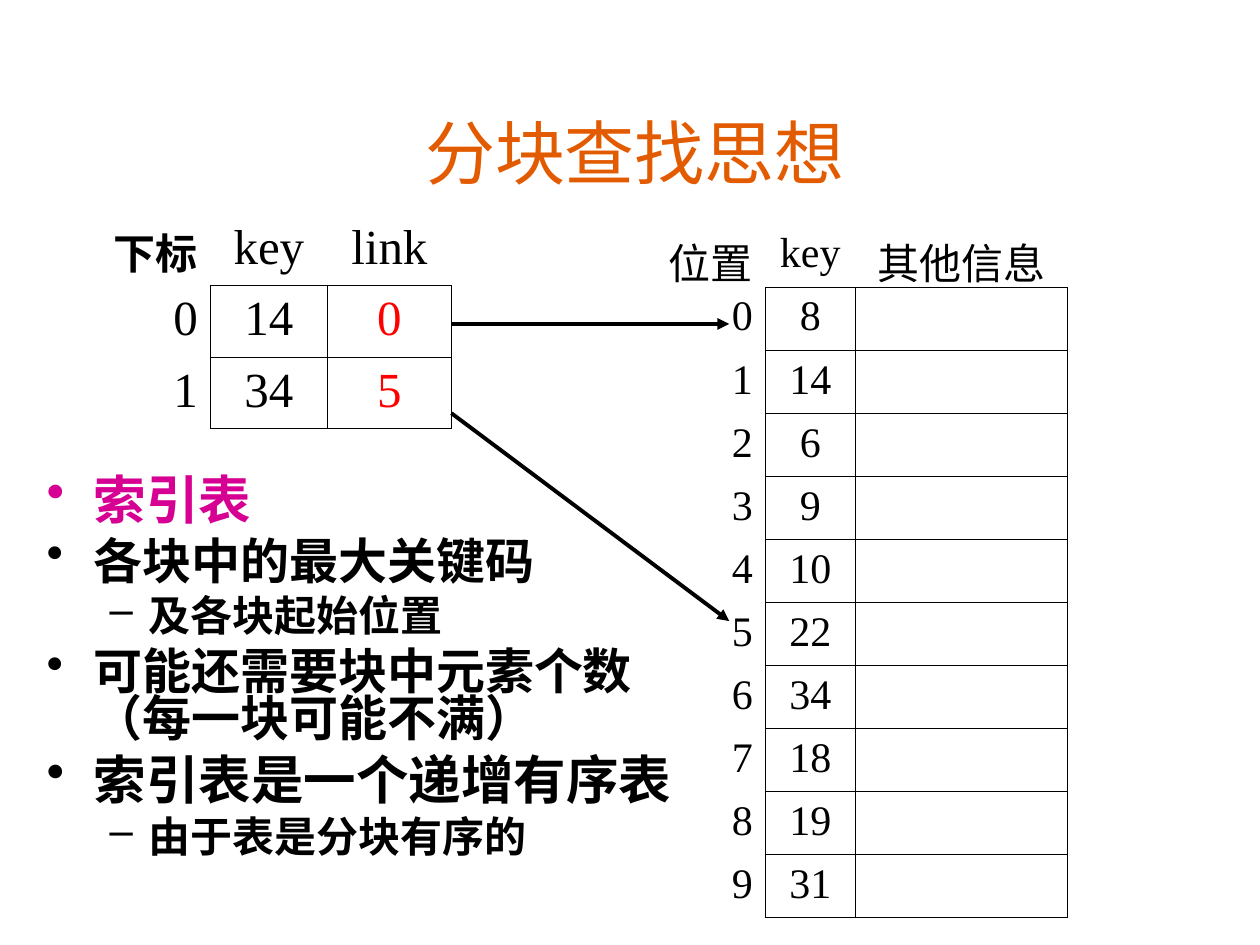
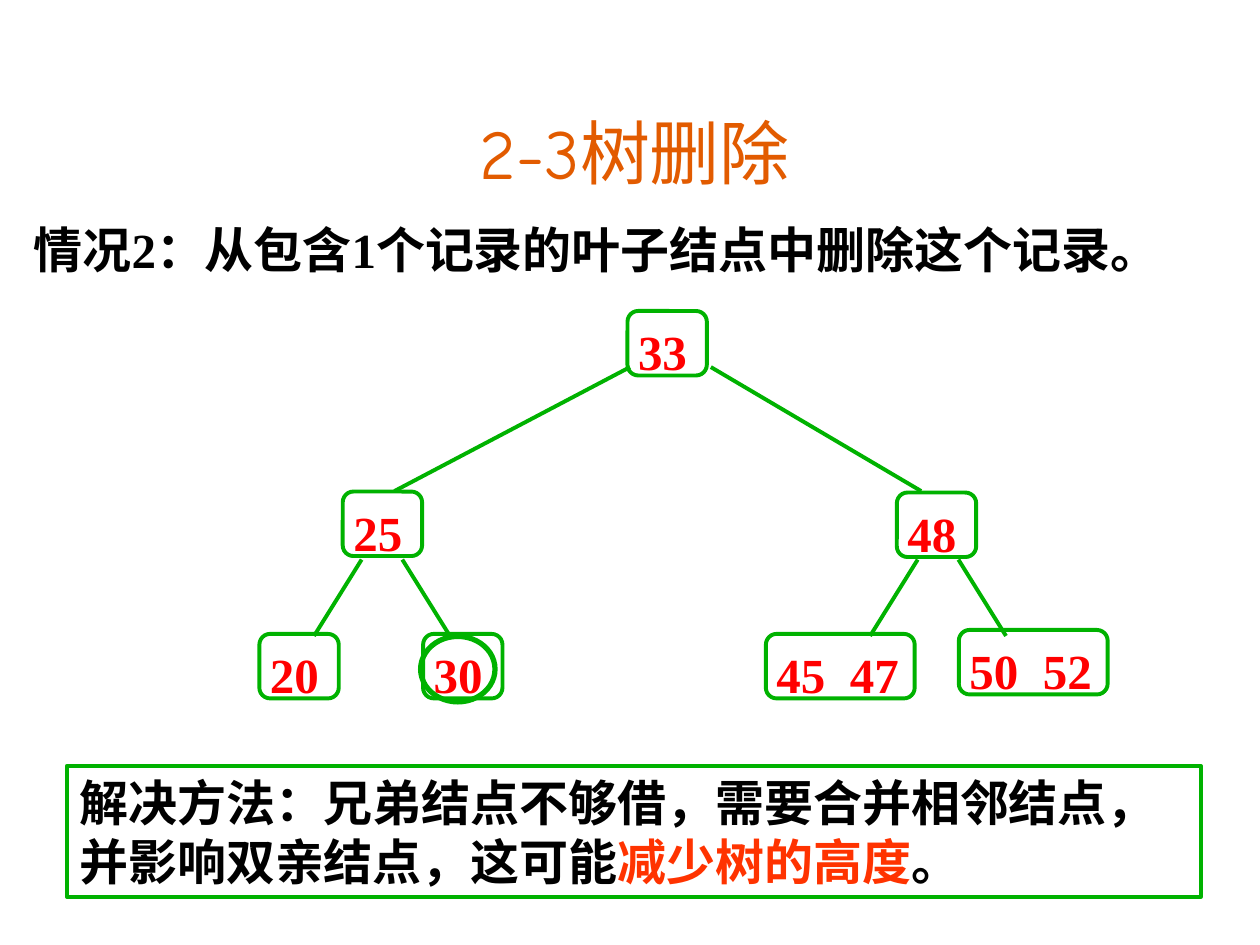
from lxml import etree
from pptx import Presentation
from pptx.dml.color import RGBColor
from pptx.enum.shapes import MSO_CONNECTOR, MSO_SHAPE
from pptx.enum.text import MSO_ANCHOR, PP_ALIGN
from pptx.oxml.ns import qn
from pptx.util import Cm, Pt

STRAIGHT = MSO_CONNECTOR.STRAIGHT
RECTANGLE, ROUNDED, OVAL = MSO_SHAPE.RECTANGLE, MSO_SHAPE.ROUNDED_RECTANGLE, MSO_SHAPE.OVAL
TOP, MIDDLE, BOTTOM = MSO_ANCHOR.TOP, MSO_ANCHOR.MIDDLE, MSO_ANCHOR.BOTTOM
LEFT, CENTER, RIGHT = PP_ALIGN.LEFT, PP_ALIGN.CENTER, PP_ALIGN.RIGHT

BLACK = RGBColor(0x00, 0x00, 0x00)
ORANGE = RGBColor(0xE2, 0x5B, 0x00)
MAGENTA = RGBColor(0xD6, 0x00, 0x93)
RED = RGBColor(0xFF, 0x00, 0x00)
BRIGHT_RED = RGBColor(0xFF, 0x33, 0x00)
GREEN = RGBColor(0x00, 0xB2, 0x00)

SERIF = "Times New Roman"
ROUND_FONT = "Comic Neue"
CHINESE = "Noto Sans CJK SC"
PLAIN_TABLE = "{2D5ABB26-0587-4C30-8999-92F81FD0307C}"

INDEX_ROWS = [("下标", "key", "link"), ("0", "14", "0"), ("1", "34", "5")]
RECORD_KEYS = [8, 14, 6, 9, 10, 22, 34, 18, 19, 31]
RECORD_ROWS = [("位置", "key", "其他信息")] + [
    (str(position), str(key), "") for position, key in enumerate(RECORD_KEYS)
]
LINK_ARROWS = [((9.1, 6.53), (14.7, 6.53)), ((9.1, 8.33), (14.7, 12.52))]

BULLETS = [
    (0, "索引表", 30, MAGENTA),
    (0, "各块中的最大关键码", 28, BLACK),
    (1, "及各块起始位置", 24, BLACK),
    (0, "可能还需要块中元素个数（每一块可能不满）", 28, BLACK),
    (0, "索引表是一个递增有序表", 30, BLACK),
    (1, "由于表是分块有序的", 24, BLACK),
]
BULLET_LEVELS = [("•", 0.95, -0.95), ("–", 2.06, -0.79)]

CASE = "情况2：从包含1个记录的叶子结点中删除这个记录。"
SOLUTION = [
    ("解决方法：兄弟结点不够借，需要合并相邻结点，并影响双亲结点，这可能", BLACK),
    ("减少树的高度", BRIGHT_RED),
    ("。", BLACK),
]
TREE_NODES = [
    (["33"], 12.65, 6.27),
    (["25"], 6.91, 9.91),
    (["48"], 18.08, 9.93),
    (["20"], 5.23, 12.78),
    (["30"], 8.53, 12.78),
    (["45", "47"], 15.44, 12.78),
    (["50", "52"], 19.33, 12.7),
]
NODE_WIDTHS = {1: 1.6, 2: 3.0}
NODE_HEIGHT = 1.3
ROOT_EDGES = [((12.7, 7.4), (7.95, 9.9)), ((14.33, 7.4), (18.57, 9.9))]
LEAF_PARENT_CENTERS = [7.7, 18.91]
LEAF_EDGES = [
    ((center + side * 0.41, 11.28), (center + side * 1.37, 12.82))
    for center in LEAF_PARENT_CENTERS
    for side in (-1, 1)
]


def add_element(parent, tag, **attributes):
    return etree.SubElement(parent, qn(tag), **attributes)


def set_font(paragraph, size, color=BLACK, name=SERIF, bold=False):
    font = paragraph.font
    font.size, font.name, font.bold = Pt(size), name, bold
    font.color.rgb = color
    add_element(paragraph._p.pPr.find(qn("a:defRPr")), "a:ea", typeface=CHINESE)


def add_text_box(slide, left, top, width, height, anchor=TOP, wrap=True):
    frame = slide.shapes.add_textbox(Cm(left), Cm(top), Cm(width), Cm(height)).text_frame
    frame.word_wrap = wrap
    frame.vertical_anchor = anchor
    return frame


def add_title(slide, text, font_name):
    paragraph = add_text_box(slide, 1.9, 1.9, 21.8, 2.12, BOTTOM).paragraphs[0]
    paragraph.text = text
    paragraph.alignment = CENTER
    set_font(paragraph, 40, ORANGE, font_name)


def add_line(slide, start, end, color, arrow=False):
    (x1, y1), (x2, y2) = start, end
    line = slide.shapes.add_connector(STRAIGHT, Cm(x1), Cm(y1), Cm(x2), Cm(y2))
    line.line.color.rgb = color
    line.line.width = Pt(2.25)
    properties = line._element.spPr
    if arrow:
        add_element(properties.find(qn("a:ln")), "a:tailEnd", type="triangle")
    add_element(properties, "a:effectLst")


def add_outline(slide, kind, left, top, width, height, weight=2.25):
    shape = slide.shapes.add_shape(kind, Cm(left), Cm(top), Cm(width), Cm(height))
    shape.shadow.inherit = False
    shape.fill.background()
    shape.line.color.rgb = GREEN
    shape.line.width = Pt(weight)
    return shape


def add_borders(cell):
    properties = cell._tc.get_or_add_tcPr()
    for side in ("a:lnL", "a:lnR", "a:lnT", "a:lnB"):
        border = add_element(properties, side, w=str(Pt(0.45)))
        fill = add_element(border, "a:solidFill")
        add_element(fill, "a:srgbClr", val=str(BLACK))


def add_grid(slide, rows, left, top, widths, row_height, size, red_column=None):
    frame = slide.shapes.add_table(
        len(rows), len(widths), Cm(left), Cm(top), Cm(sum(widths)), Cm(row_height * len(rows))
    )
    table = frame.table
    table.first_row = table.horz_banding = False
    table._tbl.tblPr.find(qn("a:tableStyleId")).text = PLAIN_TABLE
    for column, width in zip(table.columns, widths):
        column.width = Cm(width)
    for row_number, row in enumerate(rows):
        table.rows[row_number].height = Cm(row_height)
        for column_number, text in enumerate(row):
            cell = table.cell(row_number, column_number)
            inside = row_number > 0 and column_number > 0
            if inside:
                add_borders(cell)
            cell.fill.background()
            if not text:
                continue
            paragraph = cell.text_frame.paragraphs[0]
            paragraph.text = text
            paragraph.alignment = CENTER if column_number else RIGHT
            set_font(paragraph, size, RED if inside and column_number == red_column else BLACK)
    return table


def add_bullets(slide):
    frame = add_text_box(slide, 0.69, 9.53, 14.2, 9.04)
    for number, (level, text, size, color) in enumerate(BULLETS):
        paragraph = frame.add_paragraph() if number else frame.paragraphs[0]
        paragraph.text = text
        paragraph.level = level
        paragraph.line_spacing = 0.8
        if number:
            paragraph.space_before = Pt(size / 4)
        mark, margin, indent = BULLET_LEVELS[level]
        properties = paragraph._p.get_or_add_pPr()
        properties.set("marL", str(Cm(margin)))
        properties.set("indent", str(Cm(indent)))
        bullet_color = add_element(properties, "a:buClr")
        add_element(bullet_color, "a:srgbClr", val=str(color))
        add_element(properties, "a:buChar", char=mark)
        set_font(paragraph, size, color, ROUND_FONT, True)


def add_node(slide, keys, left, top):
    shape = add_outline(slide, ROUNDED, left, top, NODE_WIDTHS[len(keys)], NODE_HEIGHT)
    frame = shape.text_frame
    frame.vertical_anchor = TOP
    frame.margin_left, frame.margin_right = Cm(0.15), Cm(0.05)
    frame.margin_top, frame.margin_bottom = Cm(0.15), Cm(0.03)
    paragraph = frame.paragraphs[0]
    paragraph.text = "\t".join(keys)
    paragraph.alignment = LEFT
    if len(keys) > 1:
        tabs = add_element(paragraph._p.get_or_add_pPr(), "a:tabLst")
        add_element(tabs, "a:tab", pos=str(Cm(1.48)), algn="l")
    set_font(paragraph, 28, RED, bold=True)


def build_block_search(slide):
    add_title(slide, "分块查找思想", CHINESE)
    index_table = add_grid(slide, INDEX_ROWS, 1.5, 4.32, [2.74, 2.36, 2.5], 1.44, 28, 2)
    heading = index_table.cell(0, 0).text_frame.paragraphs[0].font
    heading.size, heading.name, heading.bold = Pt(24), ROUND_FONT, True
    add_grid(slide, RECORD_ROWS, 12.9, 4.52, [2.53, 1.81, 4.27], 1.27, 24)
    for start, end in LINK_ARROWS:
        add_line(slide, start, end, BLACK, arrow=True)
    add_bullets(slide)


def build_tree_deletion(slide):
    add_title(slide, "2-3树删除", ROUND_FONT)
    for start, end in ROOT_EDGES + LEAF_EDGES:
        add_line(slide, start, end, GREEN)
    for keys, left, top in TREE_NODES:
        add_node(slide, keys, left, top)
    add_outline(slide, OVAL, 8.48, 12.83, 1.5, 1.32, 3)

    case = add_text_box(slide, 0.43, 4.29, 24.36, 1.45, MIDDLE, wrap=False).paragraphs[0]
    case.text = CASE
    set_font(case, 28, bold=True)

    frame = add_outline(slide, RECTANGLE, 1.35, 15.44, 22.86, 2.64).text_frame
    frame.word_wrap = True
    solution = frame.paragraphs[0]
    solution.alignment = LEFT
    set_font(solution, 28, bold=True)
    for text, color in SOLUTION:
        run = solution.add_run()
        run.text = text
        run.font.color.rgb = color


def main():
    presentation = Presentation()
    presentation.slide_width, presentation.slide_height = Cm(25.4), Cm(19.05)
    blank = presentation.slide_layouts[6]
    for build in (build_block_search, build_tree_deletion):
        build(presentation.slides.add_slide(blank))
    presentation.save("out.pptx")


if __name__ == "__main__":
    main()
